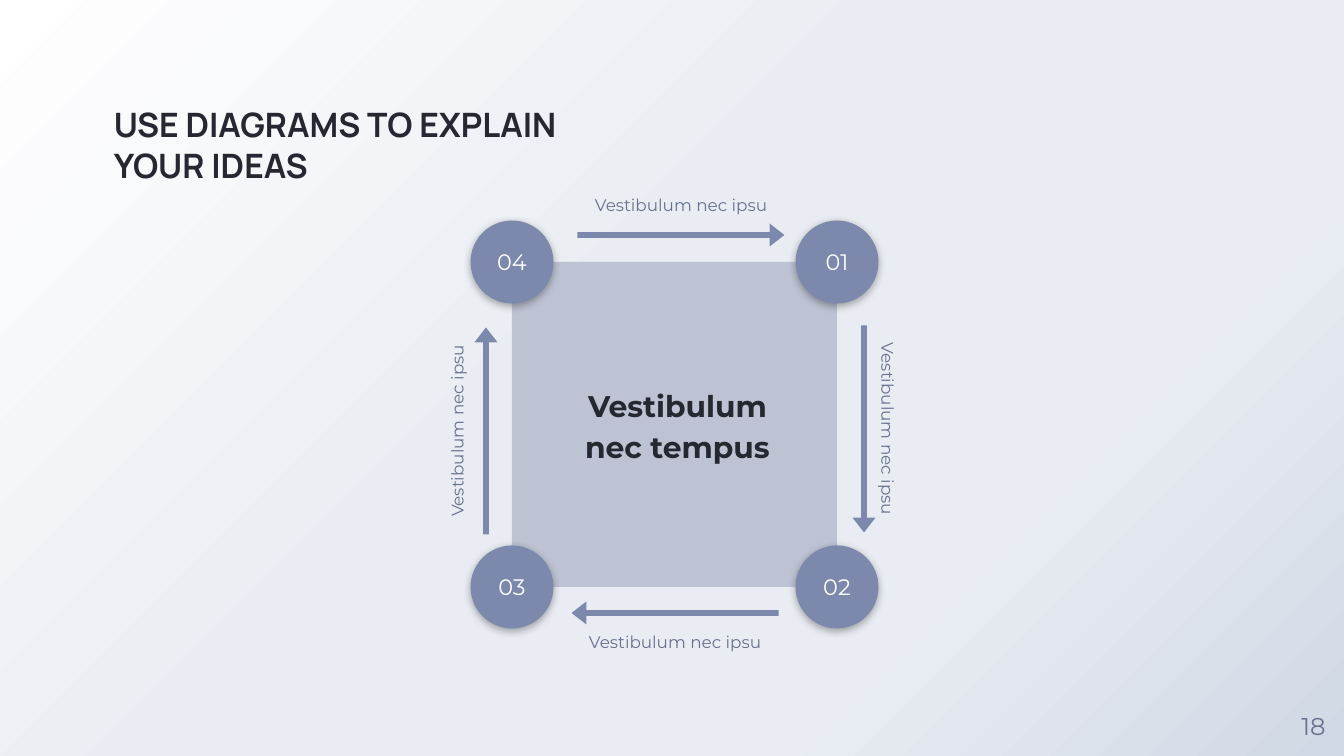
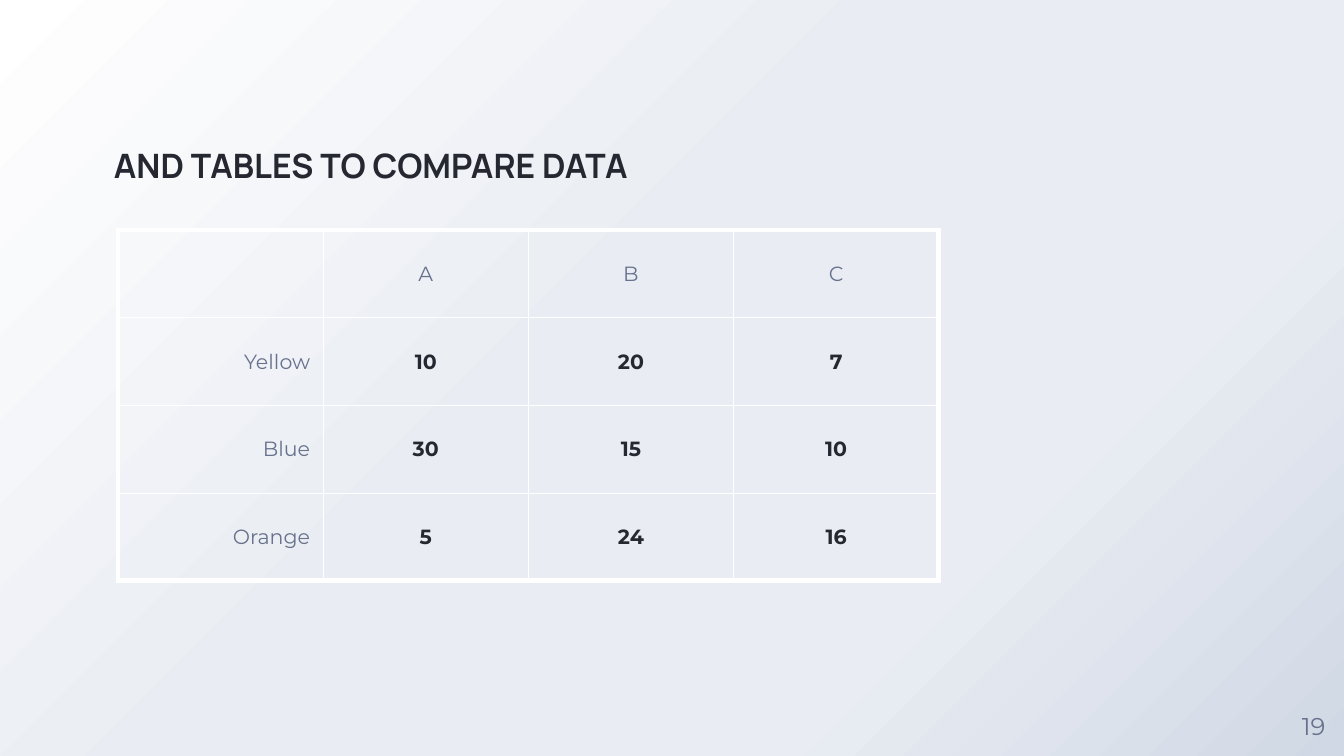
from dataclasses import dataclass

from lxml.etree import SubElement
from pptx import Presentation
from pptx.dml.color import RGBColor
from pptx.enum.shapes import MSO_SHAPE as Shape
from pptx.enum.text import MSO_ANCHOR as Anchor, PP_ALIGN as Align
from pptx.oxml.ns import qn
from pptx.util import Emu, Pt

PIXEL = 914400 / 134.4


def px(length):
    return Emu(round(length * PIXEL))


def add_xml(parent, tag, **attributes):
    return SubElement(parent, qn(tag), {name: str(value) for name, value in attributes.items()})


@dataclass(frozen=True)
class Theme:
    dark: str = "252831"
    muted: str = "68728D"
    accent: str = "7D89AC"
    panel: str = "BDC3D3"
    white: str = "FFFFFF"
    shadow: str = "212121"
    background: tuple = ((0, "FFFFFF"), (44, "E9EDF3"), (72, "E9EDF3"), (100, "D0D8E5"))
    heading_font: str = "Manrope"
    body_font: str = "Montserrat"
    title_size: int = 18
    centre_size: int = 16
    page_size: int = 13
    node_size: int = 12
    table_size: int = 11
    label_size: int = 9
    inset: int = 13
    thick: float = 3
    thin: float = 0.75


class Deck:
    def __init__(self, theme):
        self.theme = theme
        self.presentation = Presentation()
        self.presentation.slide_width = px(1344)
        self.presentation.slide_height = px(756)
        self.slide = None
        self.paint_background()

    def paint_background(self):
        master = self.presentation.slide_master
        fill = master.background.fill
        fill.gradient()
        fill.gradient_angle = 315
        stops = master.element.find(".//" + qn("a:gsLst"))
        stops.clear()
        for position, colour in self.theme.background:
            stop = add_xml(stops, "a:gs", pos=position * 1000)
            add_xml(stop, "a:srgbClr", val=colour)

    def start(self, title, number):
        self.slide = self.presentation.slides.add_slide(self.presentation.slide_layouts[6])
        theme = self.theme
        self.text(title, 114, 59, 527, 126, theme.title_size, theme.dark, bold=True,
                  font=theme.heading_font, align=Align.LEFT, anchor=Anchor.BOTTOM, inset=0)
        self.text(str(number), 1283, 696, 61, 60, theme.page_size, theme.muted, inset=0)

    def set_text(self, frame, text, size, colour, bold=False, font=None,
                 align=Align.CENTER, spacing=None):
        paragraph = frame.paragraphs[0]
        paragraph.text = text
        paragraph.alignment = align
        paragraph.line_spacing = spacing
        paragraph.font.name = font or self.theme.body_font
        paragraph.font.size = Pt(size)
        paragraph.font.bold = bold
        paragraph.font.color.rgb = RGBColor.from_string(colour)

    def frame(self, shape, anchor, inset):
        frame = shape.text_frame
        frame.word_wrap = True
        frame.vertical_anchor = anchor
        frame.margin_left = frame.margin_right = px(inset)
        frame.margin_top = frame.margin_bottom = px(inset)
        return frame

    def text(self, text, left, top, width, height, size, colour,
             anchor=Anchor.MIDDLE, inset=None, **style):
        box = self.slide.shapes.add_textbox(px(left), px(top), px(width), px(height))
        margin = self.theme.inset if inset is None else inset
        self.set_text(self.frame(box, anchor, margin), text, size, colour, **style)
        return box

    def shape(self, kind, left, top, width, height, colour):
        shape = self.slide.shapes.add_shape(kind, px(left), px(top), px(width), px(height))
        shape.shadow.inherit = False
        shape.fill.solid()
        shape.fill.fore_color.rgb = RGBColor.from_string(colour)
        shape.line.fill.background()
        return shape

    def label(self, text, centre_x, centre_y, rotation):
        width, height = 204, 52
        box = self.text(text, centre_x - width / 2, centre_y - height / 2, width, height,
                        self.theme.label_size, self.theme.muted, anchor=Anchor.TOP, spacing=1.15)
        box.rotation = rotation

    def arrow(self, centre_x, centre_y, rotation):
        width, height = 207, 23
        arrow = self.shape(Shape.RIGHT_ARROW, centre_x - width / 2, centre_y - height / 2,
                           width, height, self.theme.accent)
        arrow.adjustments[0] = 0.255
        arrow.adjustments[1] = 0.643
        arrow.rotation = rotation

    def node(self, text, centre_x, centre_y):
        size = 83
        node = self.shape(Shape.OVAL, centre_x - size / 2, centre_y - size / 2,
                          size, size, self.theme.accent)
        effects = node.element.spPr.find(qn("a:effectLst"))
        shadow = add_xml(effects, "a:outerShdw", blurRad=Pt(4.5), dist=Pt(1.5),
                         dir=90 * 60000, algn="bl", rotWithShape=0)
        colour = add_xml(shadow, "a:srgbClr", val=self.theme.shadow)
        add_xml(colour, "a:alpha", val=38000)
        self.set_text(self.frame(node, Anchor.MIDDLE, self.theme.inset), text,
                      self.theme.node_size, self.theme.white)

    def border(self, cell, side, width):
        line = add_xml(cell._tc.get_or_add_tcPr(), "a:ln" + side, w=Pt(width))
        add_xml(add_xml(line, "a:solidFill"), "a:srgbClr", val=self.theme.white)

    def table(self, rows, left, top, width, height):
        theme = self.theme
        last_row, last_column = len(rows) - 1, len(rows[0]) - 1
        table = self.slide.shapes.add_table(len(rows), len(rows[0]), px(left), px(top),
                                            px(width), px(height)).table
        table.first_row = table.horz_banding = False
        for row, values in enumerate(rows):
            for column, value in enumerate(values):
                cell = table.cell(row, column)
                outer_sides = {"L": column == 0, "R": column == last_column,
                               "T": row == 0, "B": row == last_row}
                for side, outer in outer_sides.items():
                    self.border(cell, side, theme.thick if outer else theme.thin)
                cell.fill.background()
                cell.vertical_anchor = Anchor.MIDDLE
                cell.margin_left = cell.margin_right = px(theme.inset)
                cell.margin_top = cell.margin_bottom = px(9)
                if value:
                    is_data = row > 0 and column > 0
                    self.set_text(cell.text_frame, value, theme.table_size,
                                  theme.dark if is_data else theme.muted, bold=is_data,
                                  align=Align.CENTER if column else Align.RIGHT)


theme = Theme()
deck = Deck(theme)

deck.start("USE DIAGRAMS TO EXPLAIN YOUR IDEAS", 18)
left, top, side = 512, 262, 325
right, bottom = left + side, top + side
deck.shape(Shape.RECTANGLE, left, top, side, side, theme.panel)
deck.text("Vestibulum nec tempus", 554, 309, 247, 228, theme.centre_size, theme.dark,
          bold=True, spacing=1.15)
steps = (
    ("01", (right, top), (864, 429), 90, (887, 429), 90),
    ("02", (right, bottom), (675, 613), 180, (675, 643), 0),
    ("03", (left, bottom), (486, 431), 270, (458, 431), 270),
    ("04", (left, top), (681, 235), 0, (681, 206), 0),
)
for number, corner, arrow_centre, direction, label_centre, label_rotation in steps:
    deck.label("Vestibulum nec ipsu", *label_centre, label_rotation)
    deck.arrow(*arrow_centre, direction)
    deck.node(number, *corner)

deck.start("AND TABLES TO COMPARE DATA", 19)
deck.table((
    ("", "A", "B", "C"),
    ("Yellow", "10", "20", "7"),
    ("Blue", "30", "15", "10"),
    ("Orange", "5", "24", "16"),
), 118, 230, 821, 351)

deck.presentation.save("out.pptx")
